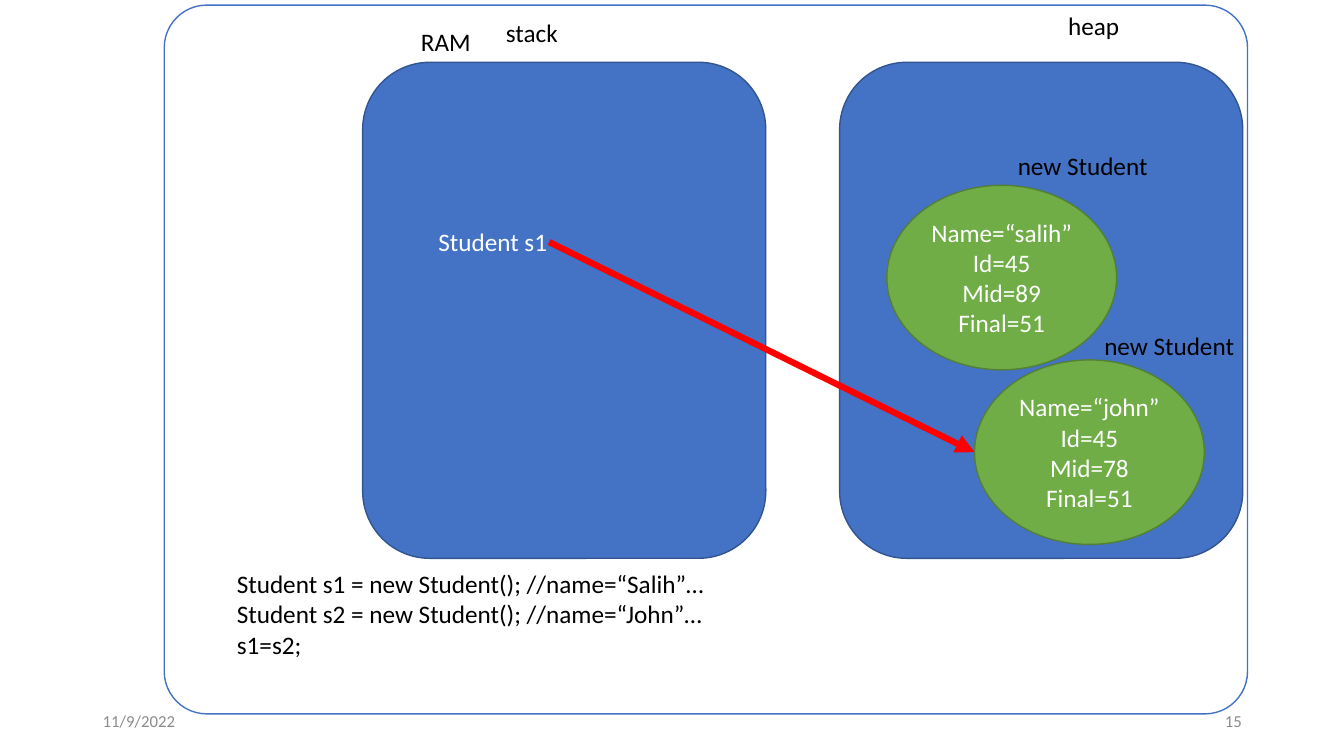
from lxml.etree import SubElement
from pptx import Presentation
from pptx.dml.color import RGBColor
from pptx.enum.shapes import MSO_CONNECTOR, MSO_SHAPE
from pptx.enum.text import MSO_ANCHOR, PP_ALIGN
from pptx.oxml.ns import qn
from pptx.util import Cm, Pt

WHITE = RGBColor(0xFF, 0xFF, 0xFF)
BLACK = RGBColor(0, 0, 0)
BLUE = RGBColor(0x44, 0x72, 0xC4)
DARK_BLUE = RGBColor(0x32, 0x54, 0x91)
GREEN = RGBColor(0x70, 0xAD, 0x47)
DARK_GREEN = RGBColor(0x53, 0x80, 0x35)
RED = RGBColor(0xFF, 0, 0)
GRAY = RGBColor(0x8C, 0x8C, 0x8C)

FONT = "Calibri"
LABEL_H = 1.02
AREA_TOP, AREA_W, AREA_H = 1.57, 10.16, 12.5
OBJECT_W, OBJECT_H = 5.79, 4.65


def write(tf, lines, color, size=18, align=PP_ALIGN.LEFT):
    tf.text = "\n".join(lines)
    for p in tf.paragraphs:
        p.alignment = align
        p.font.name = FONT
        p.font.size = Pt(size)
        p.font.color.rgb = color


def add_box(slide, kind, x, y, w, h, fill, line):
    sp = slide.shapes.add_shape(kind, Cm(x), Cm(y), Cm(w), Cm(h))
    sp.shadow.inherit = False
    sp.fill.solid()
    sp.fill.fore_color.rgb = fill
    sp.line.color.rgb = line
    sp.line.width = Pt(1)
    return sp


def add_area(slide, x):
    return add_box(slide, MSO_SHAPE.ROUNDED_RECTANGLE, x, AREA_TOP,
                   AREA_W, AREA_H, BLUE, DARK_BLUE)


def add_label(slide, lines, x, y, w, h=LABEL_H, color=BLACK, wrap=True):
    tb = slide.shapes.add_textbox(Cm(x), Cm(y), Cm(w), Cm(h))
    tb.text_frame.word_wrap = wrap
    write(tb.text_frame, lines, color)
    return tb


def add_footer(slide, text, x, align):
    tf = add_label(slide, [text], x, 17.65, 7.62).text_frame
    tf.vertical_anchor = MSO_ANCHOR.MIDDLE
    write(tf, [text], GRAY, 12, align)


def add_student(slide, x, y, name, mid):
    sp = add_box(slide, MSO_SHAPE.OVAL, x, y, OBJECT_W, OBJECT_H,
                 GREEN, DARK_GREEN)
    sp.text_frame.vertical_anchor = MSO_ANCHOR.MIDDLE
    write(sp.text_frame,
          [f"Name=“{name}”", "Id=45", f"Mid={mid}", "Final=51"],
          WHITE, align=PP_ALIGN.CENTER)
    return sp


def add_reference(slide, x, y, target):
    """Arrow from a variable to the left side of the object it refers to."""
    cxn = slide.shapes.add_connector(
        MSO_CONNECTOR.STRAIGHT, Cm(x), Cm(y),
        target.left, target.top + target.height // 2)
    cxn.line.color.rgb = RED
    cxn.line.width = Pt(4.5)
    SubElement(cxn.line._get_or_add_ln(), qn("a:tailEnd"), type="triangle")
    SubElement(cxn._element.spPr, qn("a:effectLst"))


def main():
    prs = Presentation()
    prs.slide_width, prs.slide_height = Cm(33.87), Cm(19.05)
    s = prs.slides.add_slide(prs.slide_layouts[6])

    # Memory frame and footer
    ram = add_box(s, MSO_SHAPE.ROUNDED_RECTANGLE, 4.14, 0.13, 27.3, 17.86,
                  WHITE, BLUE)
    ram.adjustments[0] = 0.06
    add_footer(s, "11/9/2022", 2.34, PP_ALIGN.LEFT)
    add_footer(s, "15", 23.93, PP_ALIGN.RIGHT)

    # Heap and stack
    for x in (21.16, 9.14):
        add_area(s, x)
    for text, x, y in (("stack", 12.5, 0.3), ("RAM", 10.36, 0.53),
                       ("heap", 26.67, 0.13)):
        add_label(s, [text], x, y, 1.83, wrap=False)

    # Variable, objects and code
    add_student(s, 22.35, 4.67, "salih", 89)
    add_label(s, ["Student s1"], 10.8, 5.59, 3.68, color=WHITE)
    add_label(s, ["new Student"], 25.4, 3.66, 5.16)
    add_label(s, ["Student s1 = new Student(); //name=“Salih”…",
                  "Student s2 = new Student(); //name=“John”…",
                  "s1=s2;"], 5.72, 14.2, 14.58, 3.33)
    john = add_student(s, 24.56, 9.07, "john", 78)
    add_label(s, ["new Student"], 27.58, 8.2, 5.16)

    # s1 now refers to the second object
    add_reference(s, 13.84, 6.1, john)

    prs.save("out.pptx")


main()
